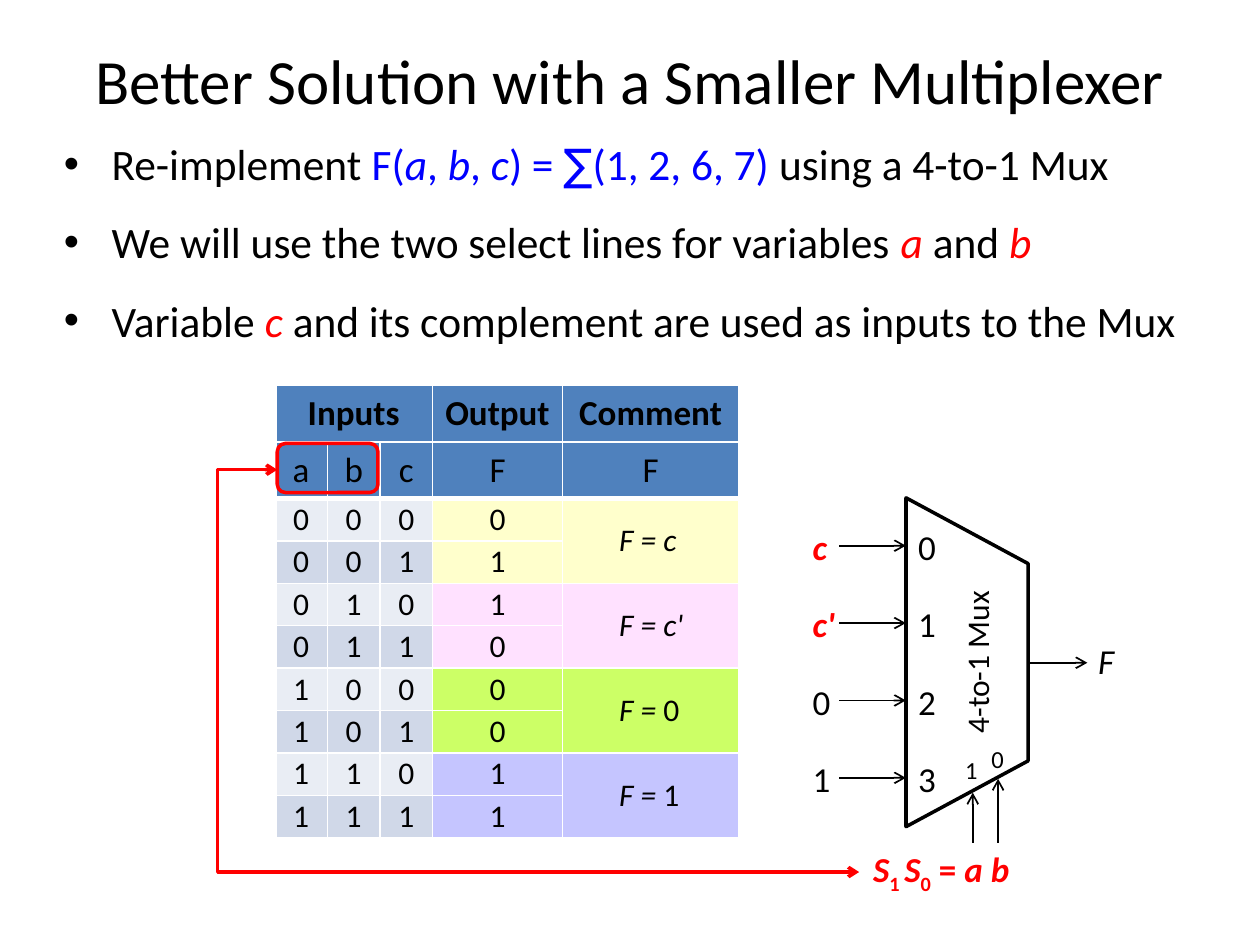
from dataclasses import dataclass
from typing import NamedTuple

from lxml.etree import SubElement
from pptx import Presentation
from pptx.dml.color import RGBColor
from pptx.enum.shapes import MSO_CONNECTOR, MSO_SHAPE
from pptx.enum.text import MSO_ANCHOR, PP_ALIGN
from pptx.oxml.ns import qn
from pptx.util import Cm, Pt


@dataclass(frozen=True)
class Theme:
    """Colours, fonts and type sizes of the slide."""
    font: str = "Calibri"
    math: str = "DejaVu Sans"
    black: str = "000000"
    white: str = "FFFFFF"
    red: str = "FF0000"
    blue: str = "0000FF"
    head: str = "4F81BD"
    bands: tuple = ("E9EDF4", "D0D8E8")
    pairs: tuple = ("FFFFCC", "FFE1FF", "CCFF66", "C5C5FF")
    title: float = 36
    body: float = 24.8
    label: float = 20
    cell: float = 18
    small: float = 14


T = Theme()


class Bit(NamedTuple):
    """A stretch of text with one format."""
    text: str
    color: str = T.black
    bold: bool = False
    italic: bool = False
    font: str = T.font
    base: int = 0


class Label(NamedTuple):
    """A text box: its place in centimetres and its content."""
    box: tuple
    bits: list
    size: float = T.label
    align: PP_ALIGN = PP_ALIGN.CENTER


class Arrow(NamedTuple):
    """A straight arrow, in centimetres."""
    start: tuple
    end: tuple


def write(para, text, *, size, color=T.black, bold=False, italic=False, font=T.font, base=0):
    """Add a formatted run to a paragraph."""
    run = para.add_run()
    run.text = text
    face = run.font
    face.name, face.size, face.bold, face.italic = font, Pt(size), bold, italic
    face.color.rgb = RGBColor.from_string(color)
    if base:
        run._r.get_or_add_rPr().set("baseline", str(base))


def fill_para(para, bits: list, size: float, align=PP_ALIGN.LEFT) -> None:
    """Write all bits into an aligned paragraph."""
    para.alignment = align
    for bit in bits:
        write(para, size=size, **bit._asdict())


def inset(item, left: float, top: float, right: float, low: float) -> None:
    """Set the margins of a text frame or cell."""
    item.margin_left, item.margin_top = Cm(left), Cm(top)
    item.margin_right, item.margin_bottom = Cm(right), Cm(low)


def place(shapes, label: Label) -> None:
    """Draw a label without wrapping."""
    frame = shapes.add_textbox(*map(Cm, label.box)).text_frame
    frame.word_wrap = False
    frame.vertical_anchor = MSO_ANCHOR.MIDDLE
    inset(frame, 0, 0, 0, 0)
    fill_para(frame.paragraphs[0], label.bits, label.size, label.align)


def stroke(shape, color: str, width: float, *ends: str) -> None:
    """Colour an outline and add arrowheads at the named ends."""
    shape.line.color.rgb = RGBColor.from_string(color)
    shape.line.width = Pt(width)
    for end in ends:
        SubElement(shape.line._get_or_add_ln(), qn("a:" + end), type="arrow")


def hollow(shape, color: str, *ends: str) -> None:
    """Leave a shape unfilled, with a two-point outline."""
    shape.shadow.inherit = False
    shape.fill.background()
    stroke(shape, color, 2, *ends)


def point(shapes, arrow: Arrow) -> None:
    """Draw a thin black arrow."""
    line = shapes.add_connector(MSO_CONNECTOR.STRAIGHT, *map(Cm, arrow.start + arrow.end))
    stroke(line, T.black, 1, "tailEnd")
    SubElement(line._element.spPr, qn("a:effectLst"))


def bullets(slide, items: list) -> None:
    """Draw the bulleted statements."""
    frame = slide.shapes.add_textbox(Cm(1.04), Cm(2.64), Cm(23.09), Cm(4.62)).text_frame
    frame.word_wrap = True
    for i, bits in enumerate(items):
        para = frame.add_paragraph() if i else frame.paragraphs[0]
        para.space_before = Pt(15 if i else 0)
        props = para._p.get_or_add_pPr()
        props.set("marL", str(Cm(0.96)))
        props.set("indent", str(-Cm(0.96)))
        SubElement(props, qn("a:buFont"), typeface="Arial")
        SubElement(props, qn("a:buChar"), char="•")
        fill_para(para, bits, T.body)


def set_cell(cell, bits: list, size: float, fill: str, row: int, col: int) -> None:
    """Fill, border and write one table cell."""
    align = PP_ALIGN.CENTER
    if row < 2:
        inset(cell, 0, 0, 0, 0)
    elif col < 4:
        inset(cell, 0.23, 0, 0.23, 0)
    else:
        inset(cell, 1.14, 0, 0.23, 0)
        align = PP_ALIGN.LEFT
    cell.vertical_anchor = MSO_ANCHOR.MIDDLE
    fill_para(cell.text_frame.paragraphs[0], bits, size, align)
    props = cell._tc.get_or_add_tcPr()
    thick = {"lnL": col == 0, "lnR": False, "lnT": row == 2, "lnB": row == 1}
    for side, wide in thick.items():
        edge = SubElement(props, qn("a:" + side), w=str(Pt(3 if wide else 1)))
        SubElement(SubElement(edge, qn("a:solidFill")), qn("a:srgbClr"), val=T.white)
    cell.fill.solid()
    cell.fill.fore_color.rgb = RGBColor.from_string(fill)


def truth(slide) -> None:
    """Draw the truth table with its comments."""
    table = slide.shapes.add_table(10, 5, Cm(5.54), Cm(7.77), Cm(9.35), Cm(9.12)).table
    table.first_row = table.horz_banding = False
    for col, width in zip(table.columns, (1.06, 1.06, 1.06, 2.62, 3.55)):
        col.width = Cm(width)
    for i, row in enumerate(table.rows):
        row.height = Cm(1.14 if i < 2 else 6.84 / 8)
    table.cell(0, 0).merge(table.cell(0, 2))
    for row, names in enumerate((("Inputs", "", "", "Output", "Comment"), "abcFF")):
        for col, name in enumerate(names):
            bits = [Bit(name, bold=row == 0)] if name else []
            set_cell(table.cell(row, col), bits, T.label, T.head, row, col)
    notes = (("F = c", ""), ("F = c'", ""), ("F =", " 0"), ("F = ", "1"))
    for i, out in enumerate("01100011"):
        row, tint = i + 2, T.pairs[i // 2]
        for col, text in enumerate(f"{i:03b}{out}"):
            fill = T.bands[i % 2] if col < 3 else tint
            set_cell(table.cell(row, col), [Bit(text)], T.cell, fill, row, col)
        bits = []
        if i % 2 == 0:
            table.cell(row, 4).merge(table.cell(row + 1, 4))
            lean, plain = notes[i // 2]
            bits = [Bit(lean, italic=True)] + ([Bit(plain)] if plain else [])
        set_cell(table.cell(row, 4), bits, T.cell, tint, row, 4)


def mux(slide) -> None:
    """Draw the multiplexer with its inputs, selects and output."""
    shapes = slide.shapes.add_group_shape().shapes
    body = shapes.add_shape(MSO_SHAPE.FLOWCHART_MANUAL_OPERATION,
                            Cm(16.18), Cm(12.12), Cm(6.63), Cm(2.46))
    body.rotation = 270
    hollow(body, T.black)
    body.text_frame.vertical_anchor = MSO_ANCHOR.MIDDLE
    inset(body.text_frame, 0.25, 0.51, 0.25, 0.13)
    fill_para(body.text_frame.paragraphs[0], [Bit("4-to-1 Mux")], T.cell, PP_ALIGN.CENTER)
    hot = {"color": T.red, "bold": True}
    select = [Bit("S", italic=True, **hot), Bit("1 ", base=-25000, **hot),
              Bit("S", italic=True, **hot), Bit("0", base=-25000, **hot),
              Bit(" = ", **hot), Bit("a b", italic=True, **hot)]
    labels = [Label((21.92, 12.55, 0.76, 1.55), [Bit("F", italic=True)]),
              Label((17.25, 16.99, 3.45, 1.17), select),
              Label((19.43, 15.27, 0.3, 0.51), [Bit("1")], T.small),
              Label((19.96, 15.04, 0.3, 0.51), [Bit("0")], T.small)]
    arrows = [Arrow((20.73, 13.36), (21.92, 13.36)),
              Arrow((20.12, 16.99), (20.12, 15.7)),
              Arrow((19.61, 16.99), (19.61, 15.98))]
    for i, name in enumerate(("c", "c'", "0", "1")):
        y = 11 + 1.56 * i
        bit = Bit(name, italic=True, **hot) if i < 2 else Bit(name)
        labels += [Label((16.38, y - 0.76, 0.6, 1.55), [bit], align=PP_ALIGN.LEFT),
                   Label((18.03, y - 0.76, 1.32, 1.55), [Bit(str(i))])]
        arrows.append(Arrow((16.92, y), (18.26, y)))
    for label in labels:
        place(shapes, label)
    for arrow in arrows:
        point(shapes, arrow)


def link(slide) -> None:
    """Join the a and b columns to the select lines."""
    shapes = slide.shapes.add_group_shape().shapes
    path = [(Cm(x), Cm(y)) for x, y in
            ((5.59, 9.47), (4.39, 9.47), (4.39, 17.58), (17.32, 17.58))]
    pen = shapes.build_freeform(*path[0])
    pen.add_line_segments(path[1:], close=False)
    hollow(pen.convert_to_shape(), T.red, "headEnd", "tailEnd")
    ring = shapes.add_shape(MSO_SHAPE.ROUNDED_RECTANGLE, Cm(5.59), Cm(8.94), Cm(2.03), Cm(0.99))
    hollow(ring, T.red)


def main() -> None:
    """Build and save the slide."""
    deck = Presentation()
    deck.slide_width, deck.slide_height = Cm(25.4), Cm(19.05)
    slide = deck.slides.add_slide(deck.slide_layouts[5])
    title = slide.shapes.title
    title.left, title.top, title.width, title.height = map(Cm, (1.27, 0, 22.86, 3.18))
    title.text_frame.vertical_anchor = MSO_ANCHOR.MIDDLE
    fill_para(title.text_frame.paragraphs[0],
              [Bit("Better Solution with a Smaller Multiplexer")], T.title, PP_ALIGN.CENTER)
    blue, red = {"color": T.blue}, {"color": T.red, "italic": True}
    terms = [Bit(t, italic=t in "abc", **blue) for t in ("F(", "a", ", ", "b", ", ", "c", ") = ")]
    bullets(slide, [
        [Bit("Re-implement "), *terms, Bit("∑", font=T.math, **blue),
         Bit("(1, 2, 6, 7) ", **blue), Bit("using a 4-to-1 Mux")],
        [Bit("We will use the two select lines for variables "), Bit("a", **red),
         Bit(" and "), Bit("b", **red)],
        [Bit("Variable "), Bit("c", **red),
         Bit(" and its complement are used as inputs to the Mux")]])
    truth(slide)
    mux(slide)
    link(slide)
    deck.save("out.pptx")


if __name__ == "__main__":
    main()
